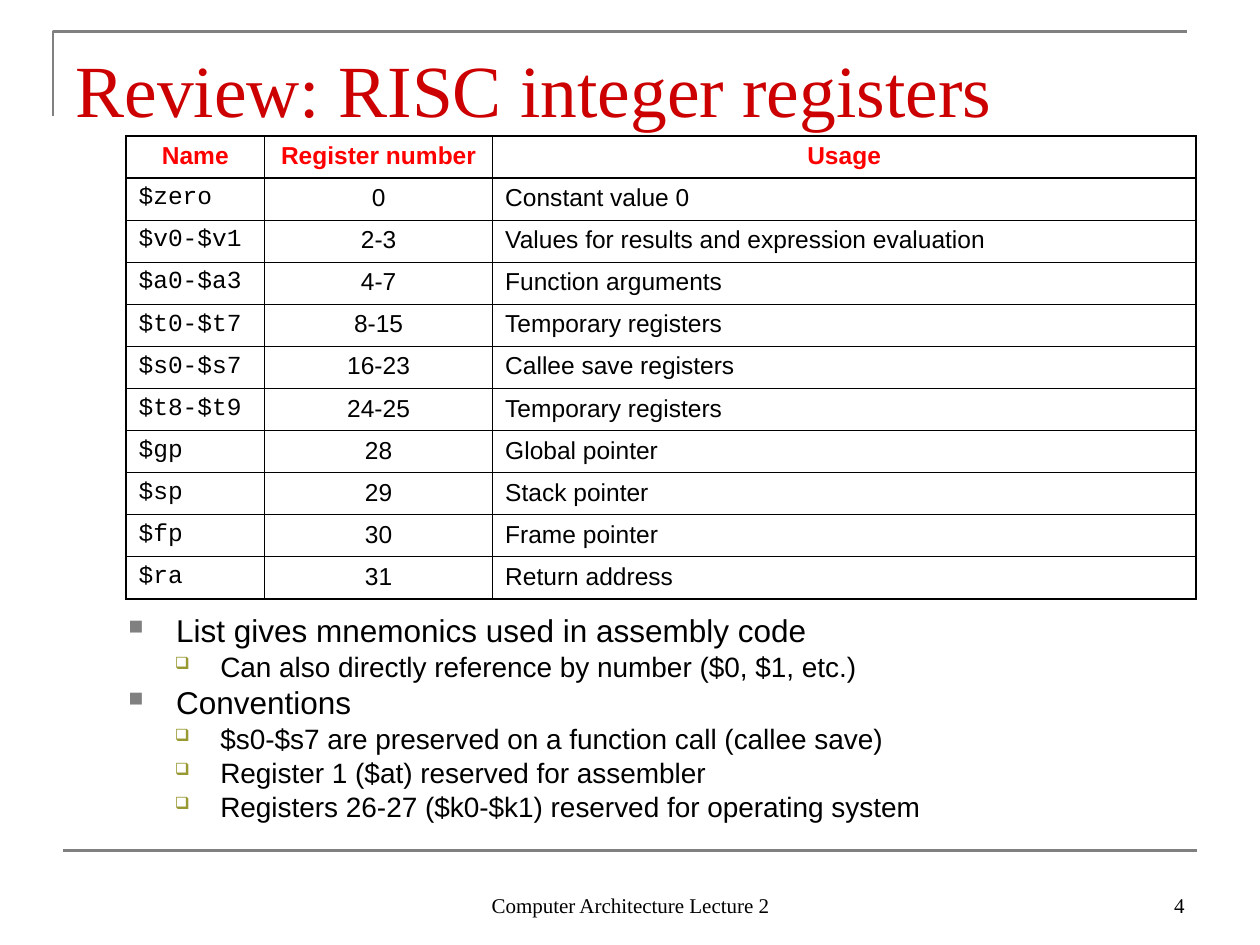
from lxml.etree import SubElement as Sub
from pptx import Presentation
from pptx.dml.color import RGBColor
from pptx.enum.shapes import MSO_CONNECTOR as Link
from pptx.enum.text import MSO_ANCHOR as Anchor, MSO_AUTO_SIZE as Auto, PP_ALIGN as Align
from pptx.oxml.ns import qn
from pptx.util import Inches, Pt

BLACK = RGBColor(0, 0, 0)
GRAY = RGBColor(0x80, 0x80, 0x80)
CRIMSON = RGBColor(0xCC, 0, 0)
RED = RGBColor(0xFF, 0, 0)
OLIVE = RGBColor(0x99, 0x99, 0x33)

THIN, THICK = 0.45, 1.08
COLS = (1.1, 1.81, 5.58)
HEADS = ("Name", "Register number", "Usage")
ROWS = (
    ("$zero", "0", "Constant value 0"),
    ("$v0-$v1", "2-3", "Values for results and expression evaluation"),
    ("$a0-$a3", "4-7", "Function arguments"),
    ("$t0-$t7", "8-15", "Temporary registers"),
    ("$s0-$s7", "16-23", "Callee save registers"),
    ("$t8-$t9", "24-25", "Temporary registers"),
    ("$gp", "28", "Global pointer"),
    ("$sp", "29", "Stack pointer"),
    ("$fp", "30", "Frame pointer"),
    ("$ra", "31", "Return address"),
)
NOTES = (
    (0, "List gives mnemonics used in assembly code"),
    (1, "Can also directly reference by number ($0, $1, etc.)"),
    (0, "Conventions"),
    (1, "$s0-$s7 are preserved on a function call (callee save)"),
    (1, "Register 1 ($at) reserved for assembler"),
    (1, "Registers 26-27 ($k0-$k1) reserved for operating system"),
)
LEVELS = (
    dict(left=0.38, hang=0.38, mark="■", tint=GRAY, scale=65, size=18, gap=4.5),
    dict(left=0.73, hang=0.36, mark="❑", tint=OLIVE, scale=60, size=16, gap=4),
)


def write(para, text, size=14, face="Arial", color=BLACK, bold=False, align=Align.LEFT):
    para.alignment = align
    run = para.add_run()
    run.text = text
    font = run.font
    font.size, font.name, font.bold = Pt(size), face, bold
    font.color.rgb = color


def add_title(slide, box, text):
    title = slide.shapes.title
    title.left, title.top, title.width, title.height = map(Inches, box)
    frame = title.text_frame
    frame.auto_size = Auto.NONE
    frame.vertical_anchor = Anchor.BOTTOM
    frame.margin_bottom = Inches(0.03)
    write(frame.paragraphs[0], text, size=42, face="Times New Roman", color=CRIMSON)


def add_frame(slide, box):
    left, top, width, height = map(Inches, box)
    path = slide.shapes.build_freeform(left, top + height)
    path.add_line_segments([(left, top), (left + width, top)], close=False)
    shape = path.convert_to_shape()
    shape.shadow.inherit = False
    shape.fill.background()
    shape.line.color.rgb = GRAY
    shape.line.width = Pt(1.5)


def add_rule(slide, left, top, width):
    rule = slide.shapes.add_connector(
        Link.STRAIGHT, Inches(left), Inches(top), Inches(left + width), Inches(top))
    rule.line.color.rgb = GRAY
    rule.line.width = Pt(1.5)
    Sub(rule._element.spPr, qn("a:effectLst"))


def add_box(slide, box, anchor):
    frame = slide.shapes.add_textbox(*map(Inches, box)).text_frame
    frame.word_wrap = True
    frame.vertical_anchor = anchor
    return frame


def add_footer(slide, box, text, align):
    frame = add_box(slide, box, Anchor.BOTTOM)
    write(frame.paragraphs[0], text, size=12, face="Times New Roman", align=align)


def add_edges(cell, **widths):
    props = cell._tc.get_or_add_tcPr()
    for side in "LRTB":
        line = Sub(props, qn(f"a:ln{side}"), w=str(Pt(widths[side])))
        Sub(Sub(line, qn("a:solidFill")), qn("a:srgbClr"), val=str(BLACK))
    cell.fill.background()


def add_grid(slide, box):
    count = len(ROWS) + 1
    grid = slide.shapes.add_table(count, len(COLS), *map(Inches, box)).table
    grid.first_row = grid.horz_banding = False
    for col, width in zip(grid.columns, COLS):
        col.width = Inches(width)
    for row in grid.rows:
        row.height = Inches(box[3] / count)
    for r, texts in enumerate((HEADS, *ROWS)):
        for c, text in enumerate(texts):
            cell = grid.cell(r, c)
            head = r == 0
            write(cell.text_frame.paragraphs[0], text,
                  face="Courier New" if c == 0 and not head else "Arial",
                  color=RED if head else BLACK, bold=head,
                  align=Align.CENTER if head or c == 1 else Align.LEFT)
            add_edges(cell,
                      L=THICK if c == 0 else THIN,
                      R=THICK if c == len(COLS) - 1 else THIN,
                      T=THICK if r < 2 else THIN,
                      B=THICK if r in (0, count - 1) else THIN)


def add_bullet(para, left, hang, mark, tint, scale):
    props = para._p.get_or_add_pPr()
    props.set("marL", str(Inches(left)))
    props.set("indent", str(-Inches(hang)))
    Sub(Sub(props, qn("a:buClr")), qn("a:srgbClr"), val=str(tint))
    Sub(props, qn("a:buSzPct"), val=str(scale * 1000))
    Sub(props, qn("a:buChar"), char=mark)


def add_notes(slide, box):
    frame = add_box(slide, box, Anchor.TOP)
    for i, (level, text) in enumerate(NOTES):
        para = frame.add_paragraph() if i else frame.paragraphs[0]
        style = dict(LEVELS[level])
        size, gap = style.pop("size"), style.pop("gap")
        para.level = level
        add_bullet(para, **style)
        para.line_spacing = 0.8
        if i:
            para.space_before = Pt(gap)
        write(para, text, size=size)


def main():
    deck = Presentation()
    deck.slide_width, deck.slide_height = Inches(10), Inches(7.5)
    slide = deck.slides.add_slide(deck.slide_layouts[5])
    add_frame(slide, (0.42, 0.25, 9, 0.67))
    add_rule(slide, 0.5, 6.75, 9)
    add_footer(slide, (3.42, 6.83, 3.17, 0.5), "Computer Architecture Lecture 2", Align.CENTER)
    add_footer(slide, (7.17, 6.83, 2.33, 0.5), "4", Align.RIGHT)
    add_title(slide, (0.5, 0.3, 9, 0.78), "Review: RISC integer registers")
    add_notes(slide, (0.92, 4.86, 8.58, 1.84))
    add_grid(slide, (1, 1.08, 8.5, 3.67))
    deck.save("out.pptx")


if __name__ == "__main__":
    main()
